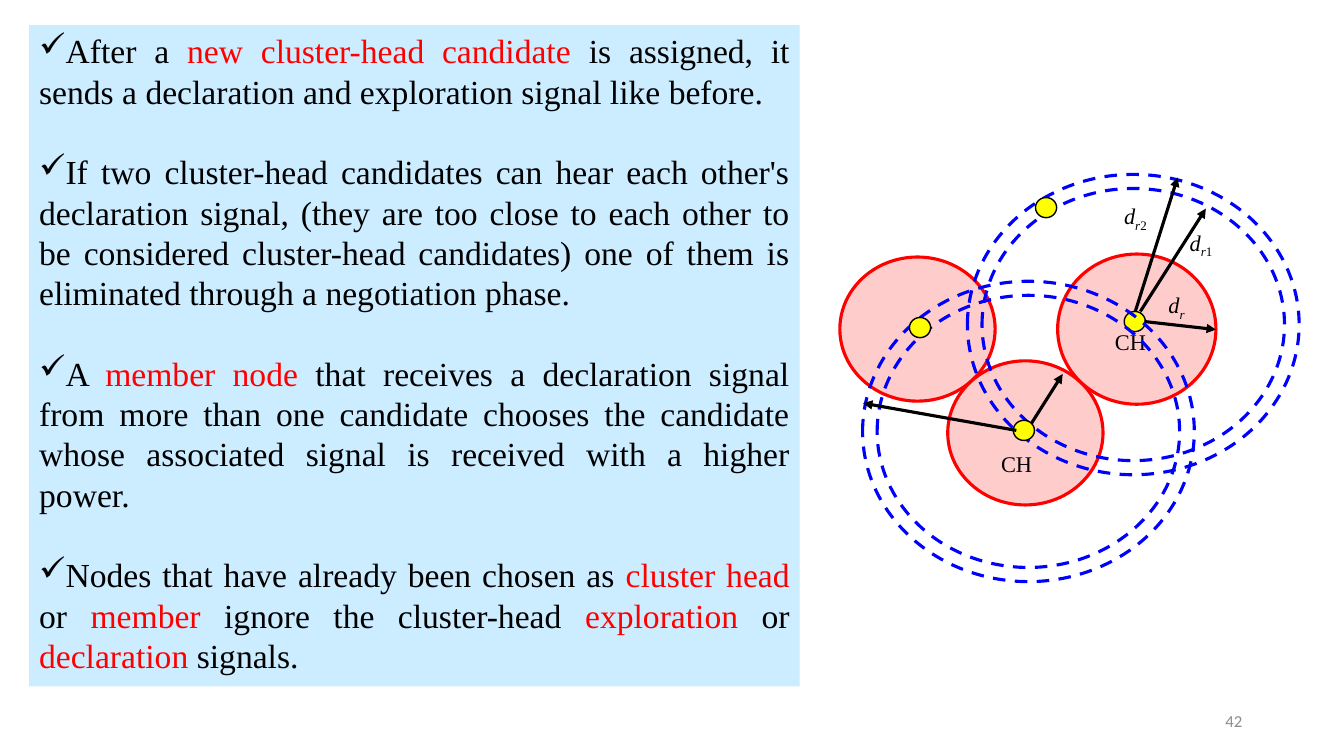
from lxml import etree
from pptx import Presentation
from pptx.dml.color import RGBColor
from pptx.enum.dml import MSO_LINE
from pptx.enum.shapes import MSO_CONNECTOR, MSO_SHAPE
from pptx.enum.text import MSO_ANCHOR, PP_ALIGN
from pptx.oxml.ns import qn
from pptx.util import Inches, Pt

OVAL, RECT = MSO_SHAPE.OVAL, MSO_SHAPE.RECTANGLE
STRAIGHT, DASH = MSO_CONNECTOR.STRAIGHT, MSO_LINE.DASH
JUSTIFY, RIGHT, LEFT = PP_ALIGN.JUSTIFY, PP_ALIGN.RIGHT, PP_ALIGN.LEFT
TOP, MIDDLE = MSO_ANCHOR.TOP, MSO_ANCHOR.MIDDLE

BLACK = RGBColor(0x00, 0x00, 0x00)
RED = RGBColor(0xFF, 0x00, 0x00)
BLUE = RGBColor(0x00, 0x00, 0xFF)
YELLOW = RGBColor(0xFF, 0xFF, 0x00)
PINK = RGBColor(0xFF, 0xCC, 0xCC)
PALE_BLUE = RGBColor(0xCC, 0xEC, 0xFF)
GRAY = RGBColor(0x8C, 0x8C, 0x8C)
SERIF = "Times New Roman"

prs = Presentation()
prs.slide_width, prs.slide_height = Inches(13.33), Inches(7.5)
s = prs.slides.add_slide(prs.slide_layouts[6])


def add_oval(x, y, w, h, fill, color, weight):
    sp = s.shapes.add_shape(OVAL, Inches(x), Inches(y), Inches(w), Inches(h))
    sp.shadow.inherit = False
    if fill is None:
        sp.fill.background()
    else:
        sp.fill.solid()
        sp.fill.fore_color.rgb = fill
    sp.line.color.rgb = color
    sp.line.width = Pt(weight)
    return sp


def add_run(p, text, size, color=BLACK, font=SERIF):
    r = p.add_run()
    r.text = text
    r.font.size = Pt(size)
    r.font.name = font
    r.font.color.rgb = color
    return r


# Text panel: each bullet is a list of (text, colour) runs
bullets = [
    [("After a ", BLACK), ("new cluster-head candidate ", RED),
     ("is assigned, it sends a declaration and exploration signal like before. ", BLACK)],
    [("If two cluster-head candidates can hear each other's declaration signal, "
      "(they are too close to each other to be considered cluster-head candidates) "
      "one of them is eliminated through a negotiation phase.", BLACK)],
    [("A ", BLACK), ("member node ", RED),
     ("that receives a declaration signal from more than one candidate chooses "
      "the candidate whose associated signal is received with a higher power.", BLACK)],
    [("Nodes that have already been chosen as ", BLACK), ("cluster head ", RED),
     ("or ", BLACK), ("member", RED), (" ignore the cluster-head ", BLACK),
     ("exploration", RED), (" or ", BLACK), ("declaration", RED), (" signals.", BLACK)],
]
panel = s.shapes.add_shape(RECT, Inches(0.29), Inches(0.25), Inches(7.64), Inches(6.56))
panel.shadow.inherit = False
panel.fill.solid()
panel.fill.fore_color.rgb = PALE_BLUE
panel.line.fill.background()
tf = panel.text_frame
tf.word_wrap = True
tf.vertical_anchor = TOP
for i, runs in enumerate(bullets):
    p = tf.paragraphs[0] if i == 0 else tf.add_paragraph()
    p.alignment = JUSTIFY
    p.line_spacing = Pt(28.8)
    if i:
        p.space_before = Pt(28.8)
    etree.SubElement(p._p.get_or_add_pPr(), qn("a:buChar")).set("char", "✓")
    for text, color in runs:
        add_run(p, text, 24, color)

# Cluster discs
for x, y, w, h in [(8.33, 2.55, 1.54, 1.43), (9.4, 3.58, 1.54, 1.43), (10.49, 2.52, 1.57, 1.49)]:
    add_oval(x, y, w, h, PINK, RED, 2.25)

# Each cluster head: ring centre, nodes, range arrows, labels (base, subscripts)
clusters = [
    ((11.24, 3.22),
     [(11.15, 3.09), (10.27, 1.96)],
     [(11.35, 3.19, 12.06, 3.27), (11.31, 3.09, 11.96, 2.07), (11.26, 3.09, 11.68, 1.76)],
     [(11.49, 2.84, "d", "r", ""), (11.7, 2.22, "d", "r", "1"),
      (11.05, 1.96, "d", "r", "2"), (10.96, 3.21, "CH", "", "")]),
    ((10.2, 4.28),
     [(10.05, 4.17), (9.02, 3.15)],
     [(10.23, 4.2, 10.54, 3.71), (10.08, 4.27, 8.56, 4)],
     [(9.83, 4.42, "CH", "", "")]),
]
for (cx, cy), nodes, arrows, labels in clusters:
    for w, h in [(3, 2.7), (3.29, 2.98)]:
        add_oval(cx - w / 2, cy - h / 2, w, h, None, BLUE, 2.25).line.dash_style = DASH
    for x, y in nodes:
        add_oval(x, y, 0.21, 0.2, YELLOW, BLACK, 1)
    for ends in arrows:
        arrow = s.shapes.add_connector(STRAIGHT, *[Inches(v) for v in ends])
        arrow.line.color.rgb = BLACK
        arrow.line.width = Pt(2.25)
        etree.SubElement(arrow.line._get_or_add_ln(), qn("a:tailEnd")).set("type", "triangle")
        etree.SubElement(arrow._element.spPr, qn("a:effectLst"))
    for x, y, base, sub, digit in labels:
        tf = s.shapes.add_textbox(Inches(x), Inches(y), Inches(0.72), Inches(0.37)).text_frame
        tf.word_wrap = True
        p = tf.paragraphs[0]
        p.alignment = LEFT
        add_run(p, base, 16).font.italic = bool(sub)
        for text, italic in [(sub, True), (digit, False)]:
            if text:
                r = add_run(p, text, 16)
                r.font.italic = italic
                r.font._element.set("baseline", "-25000")

# Slide number
tf = s.shapes.add_textbox(Inches(9.42), Inches(6.95), Inches(3), Inches(0.4)).text_frame
tf.word_wrap = True
tf.vertical_anchor = MIDDLE
p = tf.paragraphs[0]
p.alignment = RIGHT
add_run(p, "42", 12, GRAY, "Calibri")

prs.save("out.pptx")
